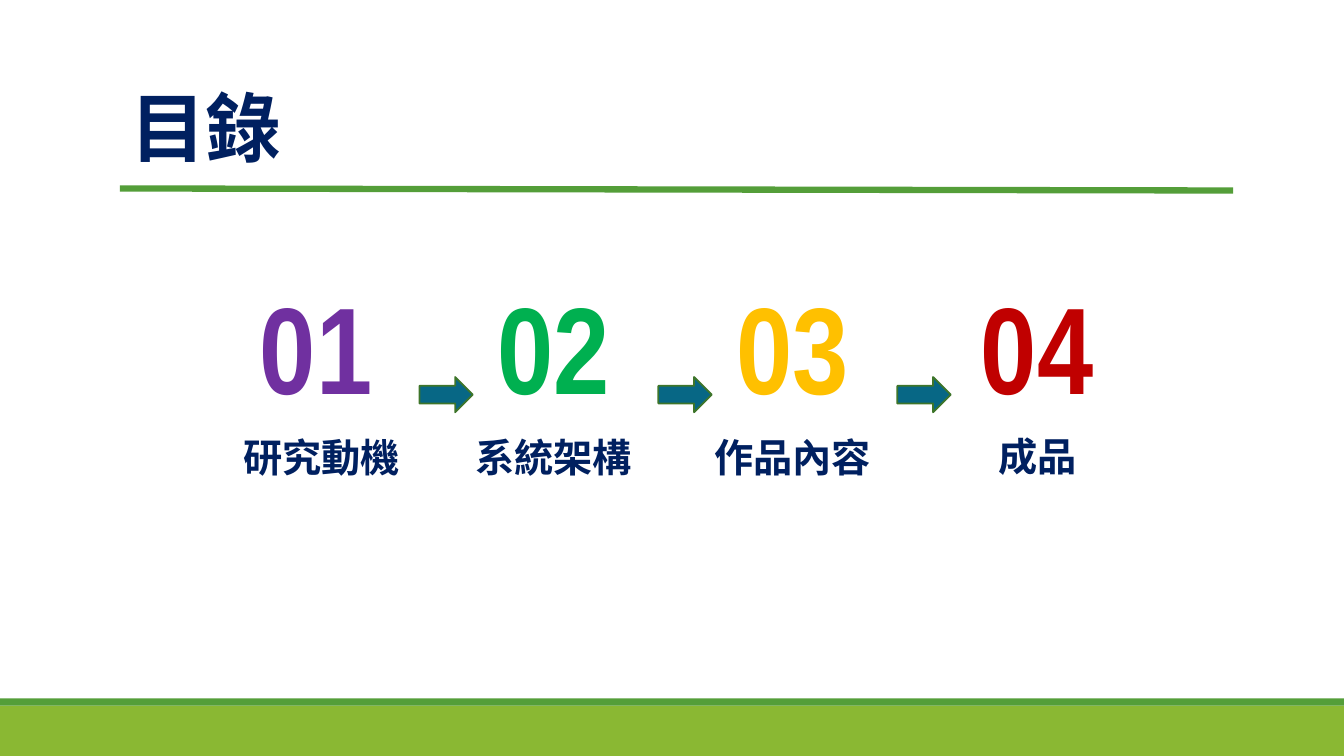
import lxml.etree
import pptx
import pptx.dml.color
import pptx.enum.shapes
import pptx.enum.text
import pptx.oxml.ns
import pptx.util

Inches = pptx.util.Inches
RGBColor = pptx.dml.color.RGBColor
SHAPE = pptx.enum.shapes.MSO_SHAPE
ALIGN = pptx.enum.text.PP_ALIGN
ANCHOR = pptx.enum.text.MSO_ANCHOR

NAVY = RGBColor(0x00, 0x20, 0x60)
GREEN = RGBColor(0x54, 0x9E, 0x39)
LIME = RGBColor(0x8A, 0xB8, 0x33)
TEAL = RGBColor(0x07, 0x67, 0x85)
MOSS = RGBColor(0x3E, 0x75, 0x2A)
WHITE = RGBColor(0xFF, 0xFF, 0xFF)
PURPLE = RGBColor(0x70, 0x30, 0xA0)
LEAF = RGBColor(0x00, 0xB0, 0x50)
GOLD = RGBColor(0xFF, 0xC0, 0x00)
RED = RGBColor(0xC0, 0x00, 0x00)

HAN = "Noto Sans CJK SC"
LATIN = "Arial Narrow"

WIDTH, HEIGHT = 13.33, 7.5
PITCH = 2.37
STEPS = [
    ("01", "研究動機", PURPLE, 0.13, 1.57, 0, 0.01),
    ("02", "系統架構", LEAF, 2.47, 1.6, 2.3, 0.01),
    ("03", "作品內容", GOLD, 4.84, 1.6, 4.67, 0.01),
    ("04", "成品", RED, 7.21, 1.71, 7.1, 0),
]


def write(frame, text, size, font, color, align):
    """Put one bold run of text in a frame."""
    para = frame.paragraphs[0]
    para.alignment = align
    run = para.add_run()
    run.text = text
    run.font.size = pptx.util.Pt(size)
    run.font.bold = True
    run.font.name = font
    run.font.color.rgb = color
    east = lxml.etree.SubElement(run._r.get_or_add_rPr(), pptx.oxml.ns.qn("a:ea"))
    east.set("typeface", font)


def block(slide, kind, box, fill=None, line=None):
    """Draw a preset shape with an optional fill and outline."""
    shape = slide.shapes.add_shape(kind, *map(Inches, box))
    shape.shadow.inherit = False
    if fill is None:
        shape.fill.background()
    else:
        shape.fill.solid()
        shape.fill.fore_color.rgb = fill
    if line is None:
        shape.line.fill.background()
    else:
        shape.line.color.rgb = line
        shape.line.width = pptx.util.Pt(1.25)
    return shape


def footer(slide, left, top, width, height):
    """Draw the two green bands along the bottom."""
    rim = 0.07
    block(slide, SHAPE.RECTANGLE, (left, top + rim, width, height - rim), LIME)
    block(slide, SHAPE.RECTANGLE, (left, top, width, rim), GREEN)


def header(slide, left, top, width, height):
    """Place the title and the rule below it."""
    rule = slide.shapes.add_connector(
        pptx.enum.shapes.MSO_CONNECTOR.STRAIGHT,
        Inches(left), Inches(top + height - 0.02),
        Inches(left + width), Inches(top + height))
    rule.line.color.rgb = GREEN
    rule.line.width = pptx.util.Pt(4.5)
    lxml.etree.SubElement(rule._element.spPr, pptx.oxml.ns.qn("a:effectLst"))
    title = slide.shapes.title
    title.left, title.top = Inches(left), Inches(top)
    title.width, title.height = Inches(4.3), Inches(1.01)
    frame = title.text_frame
    frame.word_wrap = True
    frame.auto_size = pptx.enum.text.MSO_AUTO_SIZE.NONE
    frame.vertical_anchor = ANCHOR.TOP
    write(frame, "目錄", 54, HAN, NAVY, ALIGN.LEFT)


def agenda(slide, left, top):
    """Place the numbered steps and the arrows between them."""
    for number, label, color, start, width, indent, drop in STEPS:
        box = (left + start, top, width, 1.33)
        frame = block(slide, SHAPE.RECTANGLE, box, line=WHITE).text_frame
        frame.vertical_anchor = ANCHOR.MIDDLE
        write(frame, number, 88, LATIN, color, ALIGN.CENTER)
        text = slide.shapes.add_textbox(
            Inches(left + indent), Inches(top + 1.48 + drop),
            Inches(1.94), Inches(0.57))
        text.text_frame.word_wrap = True
        write(text.text_frame, label, 28, HAN, NAVY, ALIGN.CENTER)
    for index in range(len(STEPS) - 1):
        box = (left + 1.94 + index * PITCH, top + 0.98, 0.53, 0.35)
        block(slide, SHAPE.RIGHT_ARROW, box, TEAL, MOSS)


def main():
    """Build the contents slide and save it."""
    deck = pptx.Presentation()
    deck.slide_width, deck.slide_height = Inches(WIDTH), Inches(HEIGHT)
    slide = deck.slides.add_slide(deck.slide_layouts[5])
    footer(slide, 0, 6.93, WIDTH, 0.57)
    header(slide, 1.19, 0.75, 11.04, 1.14)
    agenda(slide, 2.22, 2.76)
    deck.save("out.pptx")


if __name__ == "__main__":
    main()
